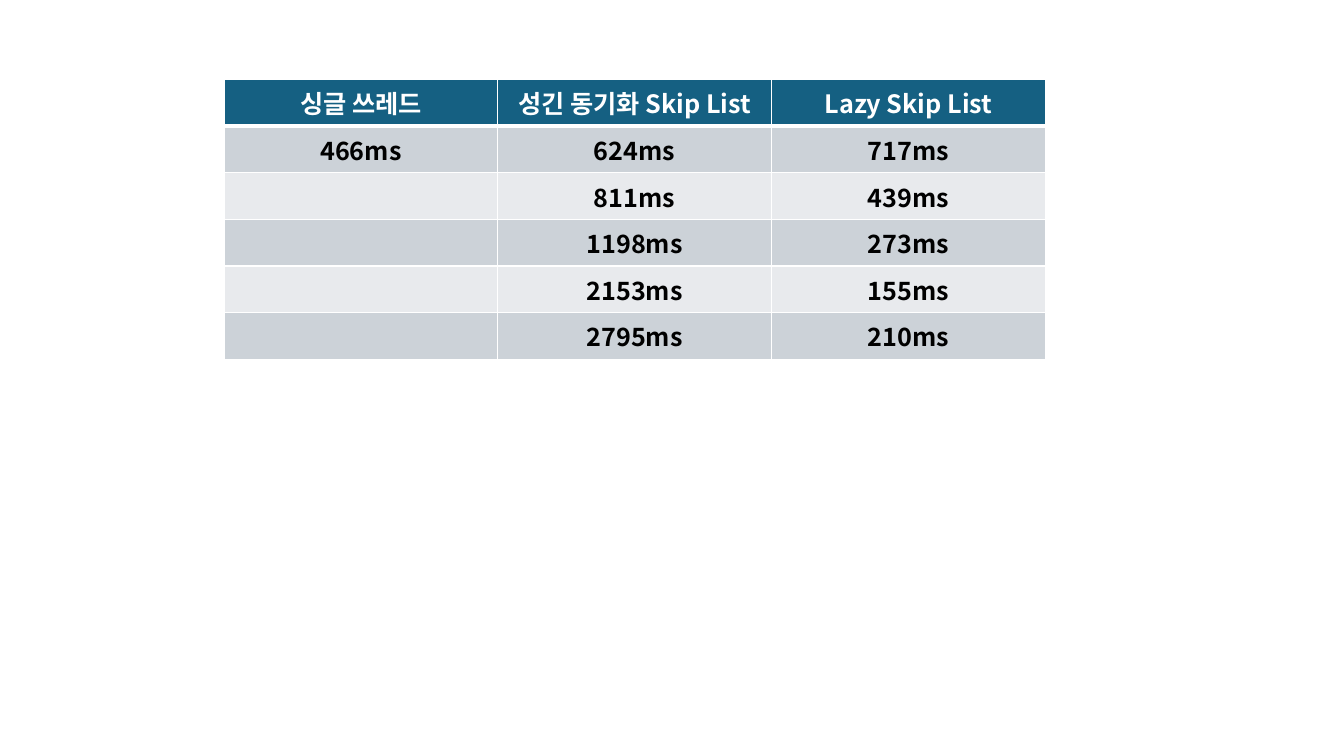
from dataclasses import dataclass

from lxml import etree
from pptx import Presentation
from pptx import util as u
from pptx.dml.color import RGBColor
from pptx.enum import text
from pptx.oxml import ns


@dataclass(frozen=True)
class Theme:
    font: str = "Noto Sans CJK KR"
    size: int = 18
    header_fill: str = "156082"
    header_text: str = "FFFFFF"
    body_text: str = "000000"
    bands: tuple = ("CCD2D8", "E8EAED")
    border: str = "FFFFFF"
    thin: int = 1
    thick: int = 3


def write(frame, words, *, font, size, color, bold=True, align=text.PP_ALIGN.CENTER):
    paragraph = frame.paragraphs[0]
    paragraph.alignment = align
    paragraph.font.size = u.Pt(size)
    if not words:
        return
    run = paragraph.add_run()
    run.text = words
    run.font.size = u.Pt(size)
    run.font.bold = bold
    run.font.color.rgb = RGBColor.from_string(color)
    run.font.name = font
    # East Asian typeface for the Korean words
    etree.SubElement(run.font._element, ns.qn("a:ea"), typeface=font)


class Board:
    COLUMNS, ROWS = 54, 114

    def __init__(self, deck, theme):
        self.theme = theme
        self.slide = deck.slides.add_slide(deck.slide_layouts[6])
        self.column = deck.slide_width / self.COLUMNS
        self.row = deck.slide_height / self.ROWS

    def borders(self, cell, **widths):
        properties = cell._tc.get_or_add_tcPr()
        for place, side in enumerate("LRTB"):
            line = etree.Element(ns.qn(f"a:ln{side}"))
            line.set("w", str(u.Pt(widths.get(side, self.theme.thin))))
            fill = etree.SubElement(line, ns.qn("a:solidFill"))
            etree.SubElement(fill, ns.qn("a:srgbClr"), val=self.theme.border)
            properties.insert(place, line)

    def table(self, records, left, top, cell_columns, cell_rows):
        theme = self.theme
        width, height = round(cell_columns * self.column), round(cell_rows * self.row)
        table = self.slide.shapes.add_table(
            len(records), len(records[0]),
            round(left * self.column), round(top * self.row),
            width * len(records[0]), height * len(records)).table
        for r, record in enumerate(records):
            table.rows[r].height = height
            fill = theme.bands[(r - 1) % 2] if r else theme.header_fill
            color = theme.body_text if r else theme.header_text
            # Thick rule between the header and the body
            rule = {0: {"B": theme.thick}, 1: {"T": theme.thick}}.get(r, {})
            for c, words in enumerate(record):
                cell = table.cell(r, c)
                cell.fill.solid()
                cell.fill.fore_color.rgb = RGBColor.from_string(fill)
                self.borders(cell, **rule)
                write(cell.text_frame, words, font=theme.font, size=theme.size, color=color)


def main():
    deck = Presentation()
    deck.slide_width, deck.slide_height = u.Inches(13.33), u.Inches(7.5)
    board = Board(deck, Theme())

    # Run times by synchronisation method
    timings = [
        ("싱글 쓰레드", "성긴 동기화 Skip List", "Lazy Skip List"),
        ("466ms", "624ms", "717ms"),
        ("", "811ms", "439ms"),
        ("", "1198ms", "273ms"),
        ("", "2153ms", "155ms"),
        ("", "2795ms", "210ms"),
    ]
    board.table(timings, left=9, top=12, cell_columns=11, cell_rows=7)
    deck.save("out.pptx")


if __name__ == "__main__":
    main()
